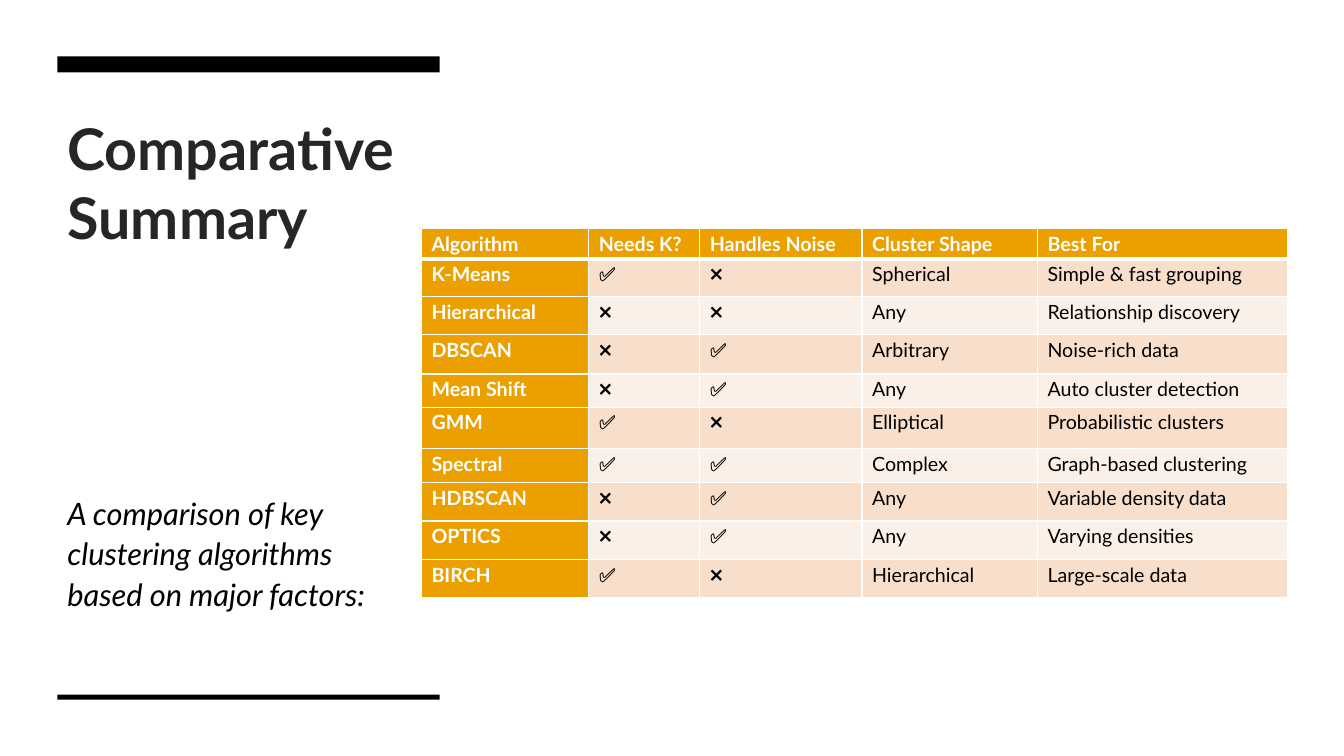
from lxml.etree import SubElement
from pptx import Presentation
from pptx.dml.color import RGBColor
from pptx.enum.shapes import MSO_SHAPE as Shape
from pptx.enum.text import MSO_ANCHOR as Anchor, MSO_AUTO_SIZE as AutoSize, PP_ALIGN as Align
from pptx.oxml.ns import qn
from pptx.util import Inches, Pt

WHITE = RGBColor(0xFF, 0xFF, 0xFF)
BLACK = RGBColor(0x00, 0x00, 0x00)
CHARCOAL = RGBColor(0x26, 0x26, 0x26)
AMBER = RGBColor(0xEB, 0xA0, 0x00)
PEACH = RGBColor(0xF7, 0xDF, 0xCC)
CREAM = RGBColor(0xFB, 0xF0, 0xE7)

SLIDE_SIZE = (13.33, 7.5)
SIDE_LEFT, SIDE_WIDTH = 0.57, 3.79
TITLE_BOX = (SIDE_LEFT, 1.07, SIDE_WIDTH, 2.68)
CAPTION_BOX = (SIDE_LEFT, 4.82, 3.25, 1.87)
RULES = [(0.56, 0.16), (6.89, 0.05)]
TABLE_BOX = (4.18, 2.27, 8.58, 3.66)
COLUMN_WIDTHS = [1.66, 1.1, 1.61, 1.74, 2.48]
ROW_HEIGHTS = [0.3, 0.37, 0.38, 0.39, 0.33, 0.41, 0.34, 0.38, 0.38, 0.38]

TITLE_FONT = {"name": "Lato", "size": Pt(41), "bold": True}
CAPTION_FONT = {"name": "Lato", "size": Pt(22), "italic": True}
HEADING_FONT = {"name": "Lato", "size": Pt(14), "bold": True}
CELL_FONT = {"name": "Lato", "size": Pt(14), "bold": False}
CELL_PARA = {"line_spacing": 1.15, "space_after": Pt(10)}
CELL_FORMAT = {"margin_left": Inches(0.1), "margin_right": Inches(0.1),
               "margin_top": 0, "margin_bottom": 0, "vertical_anchor": Anchor.TOP}

COMPARISON = [
    ("Algorithm", "Needs K?", "Handles Noise", "Cluster Shape", "Best For"),
    ("K-Means", "✅", "❌", "Spherical", "Simple & fast grouping"),
    ("Hierarchical", "❌", "❌", "Any", "Relationship discovery"),
    ("DBSCAN", "❌", "✅", "Arbitrary", "Noise-rich data"),
    ("Mean Shift", "❌", "✅", "Any", "Auto cluster detection"),
    ("GMM", "✅", "❌", "Elliptical", "Probabilistic clusters"),
    ("Spectral", "✅", "✅", "Complex", "Graph-based clustering"),
    ("HDBSCAN", "❌", "✅", "Any", "Variable density data"),
    ("OPTICS", "❌", "✅", "Any", "Varying densities"),
    ("BIRCH", "✅", "❌", "Hierarchical", "Large-scale data"),
]


def apply(target, values):
    """Set each attribute in values on the target."""
    for name, value in values.items():
        setattr(target, name, value)


def write(frame, text, font, color, para_format):
    """Fill a text frame with one formatted paragraph."""
    para = frame.paragraphs[0]
    apply(para, para_format)
    span = para.add_run()
    span.text = text
    apply(span.font, font)
    span.font.color.rgb = color


def add_title(page, box, text):
    """Move the title placeholder into the box and write the title."""
    title = page.shapes.title
    apply(title, dict(zip(("left", "top", "width", "height"), map(Inches, box))))
    apply(title.text_frame, {"word_wrap": True, "auto_size": AutoSize.NONE,
                             "vertical_anchor": Anchor.TOP})
    write(title.text_frame, text, TITLE_FONT, CHARCOAL,
          {"alignment": Align.LEFT, "line_spacing": 1.0})


def add_caption(page, box, text):
    """Write the italic caption in the box."""
    frame = page.shapes.add_textbox(*map(Inches, box)).text_frame
    apply(frame, {"word_wrap": True, "vertical_anchor": Anchor.TOP})
    write(frame, text, CAPTION_FONT, BLACK, {"line_spacing": 1.1})


def add_rule(page, box):
    """Draw a solid black bar in the box."""
    rule = page.shapes.add_shape(Shape.RECTANGLE, *map(Inches, box))
    rule.shadow.inherit = False
    rule.fill.solid()
    rule.fill.fore_color.rgb = BLACK
    rule.line.fill.background()


def set_borders(cell, widths):
    """Draw white cell borders with the given widths in points."""
    properties = cell._tc.get_or_add_tcPr()
    for index, (side, width) in enumerate(widths.items()):
        line = properties.makeelement(qn(f"a:{side}"), {"w": str(Pt(width))})
        fill = SubElement(line, qn("a:solidFill"))
        SubElement(fill, qn("a:srgbClr"), val=str(WHITE))
        properties.insert(index, line)


def format_cell(cell, text, row, column):
    """Write and colour one cell according to its place in the grid."""
    heading = row == 0 or column == 0
    apply(cell, CELL_FORMAT)
    cell.fill.solid()
    cell.fill.fore_color.rgb = AMBER if heading else (PEACH if row % 2 else CREAM)
    write(cell.text_frame, text, HEADING_FONT if heading else CELL_FONT,
          WHITE if heading else BLACK, CELL_PARA)
    set_borders(cell, {"lnL": 1, "lnR": 1, "lnT": 3 if row == 1 else 1,
                       "lnB": 3 if row == 0 else 1})


def add_comparison(page, box, records):
    """Place the comparison table in the box."""
    table = page.shapes.add_table(len(records), len(records[0]), *map(Inches, box)).table
    for column, width in zip(table.columns, COLUMN_WIDTHS):
        column.width = Inches(width)
    for row, height in zip(table.rows, ROW_HEIGHTS):
        row.height = Inches(height)
    for row, record in enumerate(records):
        for column, text in enumerate(record):
            format_cell(table.cell(row, column), text, row, column)


def add_summary_page(deck):
    """Build the page with a side panel and a comparison table."""
    page = deck.slides.add_slide(deck.slide_layouts[5])
    page.background.fill.solid()
    page.background.fill.fore_color.rgb = WHITE
    add_title(page, TITLE_BOX, "Comparative Summary")
    add_caption(page, CAPTION_BOX,
                "A comparison of key clustering algorithms based on major factors:")
    for top, height in RULES:
        add_rule(page, (SIDE_LEFT, top, SIDE_WIDTH, height))
    add_comparison(page, TABLE_BOX, COMPARISON)


def main():
    """Create the deck and save it."""
    deck = Presentation()
    deck.slide_width, deck.slide_height = map(Inches, SLIDE_SIZE)
    add_summary_page(deck)
    deck.save("out.pptx")


if __name__ == "__main__":
    main()
